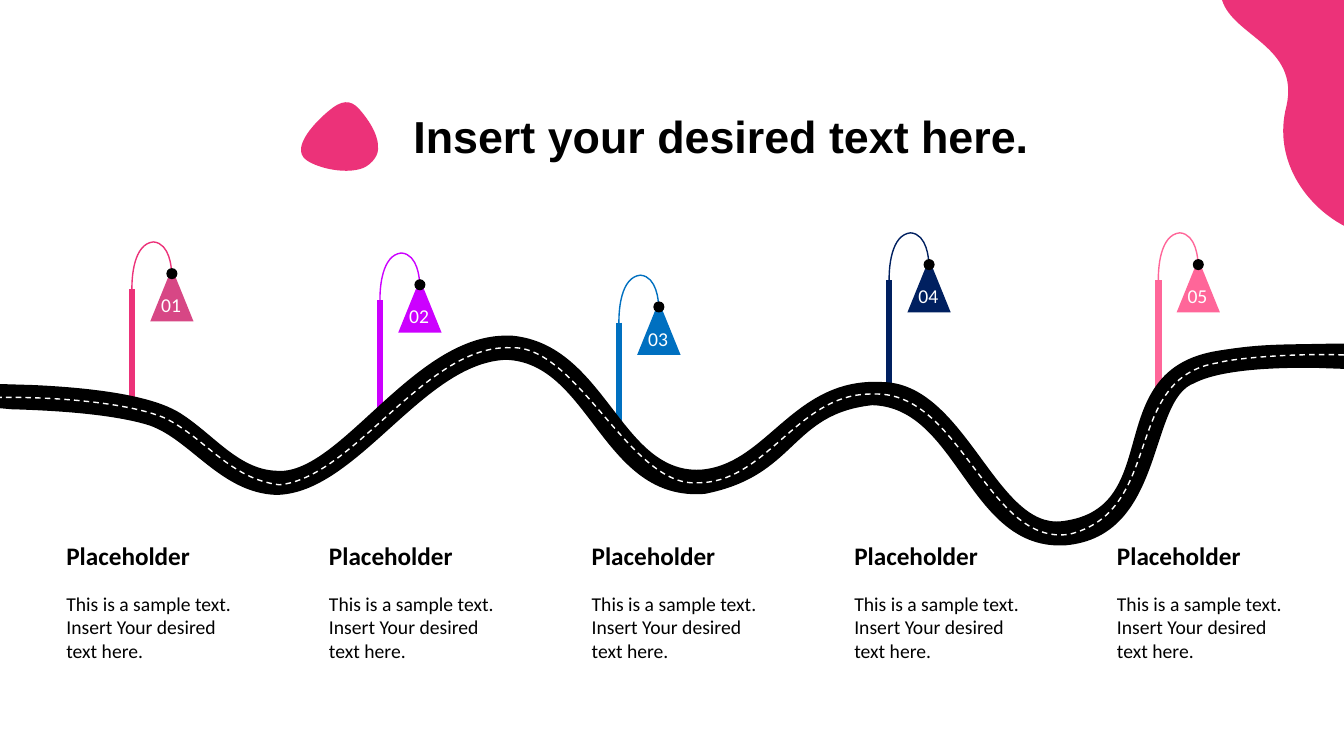
from lxml.etree import SubElement
from pptx import Presentation
from pptx.dml.color import RGBColor
from pptx.enum.dml import MSO_LINE
from pptx.enum.shapes import MSO_CONNECTOR, MSO_SHAPE
from pptx.enum.text import MSO_ANCHOR, MSO_AUTO_SIZE as AutoSize, PP_ALIGN
from pptx.oxml.ns import qn
from pptx.util import Inches, Pt

PINK, BLACK, WHITE = "EC3279", "000000", "FFFFFF"

LAMPS = [
    ("05", 11.49, 2.31, "FF6699", "FF6699"),
    ("04", 8.82, 2.31, "002060", "002060"),
    ("03", 6.14, 2.73, "0070C0", "0070C0"),
    ("02", 3.77, 2.51, "CC00FF", "CC00FF"),
    ("01", 1.31, 2.40, PINK, "D74785"),
]
LAMP_ARC = [
    (0, 0.52), (-0.01, 0.34, 0.02, 0.02, 0.21, 0),
    (0.38, 0.01, 0.39, 0.28, 0.39, 0.28),
]
BLOB = [
    (0.03, 0.54), (-0.08, 0.4, 0.21, 0.13, 0.32, 0.05),
    (0.45, -0.05, 0.53, 0, 0.59, 0.07), (0.66, 0.15, 0.78, 0.31, 0.77, 0.46),
    (0.77, 0.54, 0.68, 0.64, 0.58, 0.66), (0.38, 0.71, 0.09, 0.62, 0.03, 0.54),
]
ROAD = [
    (4.99, 3.33), (5.02, 3.33, 5.05, 3.33, 5.08, 3.33),
    (6.01, 3.42, 6.15, 4.69, 6.94, 4.66), (7.61, 4.62, 7.86, 3.74, 8.75, 3.79),
    (9.58, 3.8, 9.88, 5.26, 10.54, 5.17), (11.57, 5.04, 10.89, 3.67, 12.08, 3.48),
    (12.51, 3.41, 12.69, 3.42, 13.17, 3.41), (13.34, 3.41), (13.34, 3.66),
    (13.05, 3.65), (12.3, 3.64, 11.98, 3.73, 11.85, 3.8),
    (11.38, 3.96, 11.57, 5.32, 10.57, 5.41), (9.6, 5.47, 9.51, 4.04, 8.65, 4.02),
    (7.83, 4.11, 7.91, 4.72, 6.99, 4.9), (5.97, 4.98, 5.86, 3.6, 5.02, 3.57),
    (4.19, 3.6, 3.54, 4.9, 2.74, 4.91), (2.19, 4.89, 1.89, 4.36, 1.48, 4.22),
    (1.1, 4.1, 0.46, 4.07, 0.11, 4.06), (0, 4.05), (0, 3.81), (0.33, 3.82),
    (1.2, 3.86, 1.6, 3.98, 1.79, 4.1), (2.12, 4.31, 2.36, 4.65, 2.73, 4.67),
    (3.35, 4.74, 4.07, 3.36, 4.99, 3.33),
]
LANE = [
    (-0.23, 3.95), (0.38, 3.92, 1.25, 3.98, 1.64, 4.15),
    (2.04, 4.35, 2.28, 4.75, 2.77, 4.81), (3.51, 4.74, 4.22, 3.42, 5.06, 3.45),
    (5.72, 3.41, 6.25, 4.83, 6.91, 4.79), (7.61, 4.8, 7.91, 3.89, 8.66, 3.91),
    (9.53, 3.87, 9.8, 5.43, 10.61, 5.3), (11.56, 5.06, 11.12, 3.75, 12.08, 3.6),
    (12.2, 3.56, 12.89, 3.49, 13.49, 3.53),
]
CORNER = [
    (0, 0), (1.21, 0), (1.21, 2.24), (0.83, 2.04, 0.5, 1.58, 0.64, 1.05),
    (0.77, 0.46, 0.11, 0.36, 0, 0),
]
SAMPLE_LINES = ["This is a sample text.", "Insert Your desired", "text here."]


def rgb(hex_colour):
    return RGBColor.from_string(hex_colour)


def paint(shape, fill=None, line=None, width=1):
    shape.shadow.inherit = False
    if fill:
        shape.fill.solid()
        shape.fill.fore_color.rgb = rgb(fill)
    else:
        shape.fill.background()
    if line:
        shape.line.color.rgb = rgb(line)
        shape.line.width = Pt(width)
    else:
        shape.line.fill.background()


def add_outline(parent, outline, box, origin=(0, 0), closed=True, **colours):
    left, top, width, height = map(Inches, box)
    builder = parent.shapes.build_freeform(left, top)
    builder.add_line_segments([(left + width, top + height)], close=False)
    shape = builder.convert_to_shape()
    route = shape._element.find(".//" + qn("a:path"))
    for command in list(route):
        route.remove(command)
    for index, segment in enumerate(outline):
        kind = "cubicBezTo" if len(segment) == 6 else "lnTo" if index else "moveTo"
        command = SubElement(route, qn("a:" + kind))
        for x, y in zip(segment[::2], segment[1::2]):
            SubElement(command, qn("a:pt"), x=str(int(Inches(x - origin[0]))),
                       y=str(int(Inches(y - origin[1]))))
    if closed:
        SubElement(route, qn("a:close"))
    paint(shape, **colours)
    return shape


def write(shape, lines, size, font="Calibri", colour=BLACK, bold=False):
    frame = shape.text_frame
    frame.text = "\n".join(lines)
    frame.word_wrap = False
    frame.auto_size = AutoSize.SHAPE_TO_FIT_TEXT
    for paragraph in frame.paragraphs:
        paragraph.alignment = PP_ALIGN.LEFT
        text_font = paragraph.runs[0].font
        text_font.color.rgb = rgb(colour)
        for attribute, value in {"name": font, "size": Pt(size), "bold": bold}.items():
            setattr(text_font, attribute, value)


def add_text(parent, box, lines, size, **formats):
    write(parent.shapes.add_textbox(*map(Inches, box)), lines, size, **formats)


def add_heading(slide, left, top):
    add_outline(slide, BLOB, (left, top, 0.77, 0.68), fill=PINK)
    title = slide.shapes.title
    place = {"left": left + 1.02, "top": top + 0.01, "width": 6.35, "height": 0.64}
    for attribute, value in place.items():
        setattr(title, attribute, Inches(value))
    write(title, ["Insert your desired text here."], 32, font="Arial", bold=True)
    title.text_frame.vertical_anchor = MSO_ANCHOR.TOP


def add_lamp(slide, number, left, top, pole_colour, shade_colour):
    lamp = slide.shapes.add_group_shape()
    shade = lamp.shapes.add_shape(
        MSO_SHAPE.ISOSCELES_TRIANGLE,
        *map(Inches, (left + 0.18, top + 0.26, 0.43, 0.53)))
    paint(shade, fill=shade_colour)
    pole = lamp.shapes.add_connector(
        MSO_CONNECTOR.STRAIGHT,
        *map(Inches, (left, top + 0.47, left, top + 1.55)))
    pole.line.color.rgb = rgb(pole_colour)
    pole.line.width = Pt(4.5)
    SubElement(pole._element.spPr, qn("a:effectLst"))
    add_outline(lamp, LAMP_ARC, (left, top, 0.39, 0.51), closed=False, line=pole_colour)
    joint = lamp.shapes.add_shape(
        MSO_SHAPE.OVAL, *map(Inches, (left + 0.34, top + 0.26, 0.11, 0.11)))
    paint(joint, fill=BLACK)
    add_text(lamp, (left + 0.19, top + 0.46, 0.4, 0.34), [number], 14, colour=WHITE)


def add_road(slide, left, top):
    add_outline(slide, ROAD, (left, top, 13.34, 2.08), (0, 3.33), fill=BLACK)
    lane = add_outline(slide, LANE, (left - 0.23, top + 0.12, 13.72, 1.86),
                       (-0.23, 3.45), closed=False, line=WHITE)
    lane.line.dash_style = MSO_LINE.DASH


def add_caption(slide, left, top):
    caption = slide.shapes.add_group_shape()
    add_text(caption, (left, top, 1.44, 0.4), ["Placeholder"], 18, bold=True)
    add_text(caption, (left, top + 0.51, 1.9, 0.81), SAMPLE_LINES, 14)


def main():
    deck = Presentation()
    deck.slide_width, deck.slide_height = Inches(13.33), Inches(7.5)
    slide = deck.slides.add_slide(deck.slide_layouts[5])
    for lamp in LAMPS:
        add_lamp(slide, *lamp)
    add_heading(slide, 2.98, 1.02)
    add_road(slide, 0, 3.33)
    caption_pitch = 10.42 / (len(LAMPS) - 1)
    for column in range(len(LAMPS)):
        add_caption(slide, 0.56 + column * caption_pitch, 5.31)
    add_outline(slide, CORNER, (12.12, 0, 1.21, 2.24), fill=PINK)
    deck.save("out.pptx")


if __name__ == "__main__":
    main()
